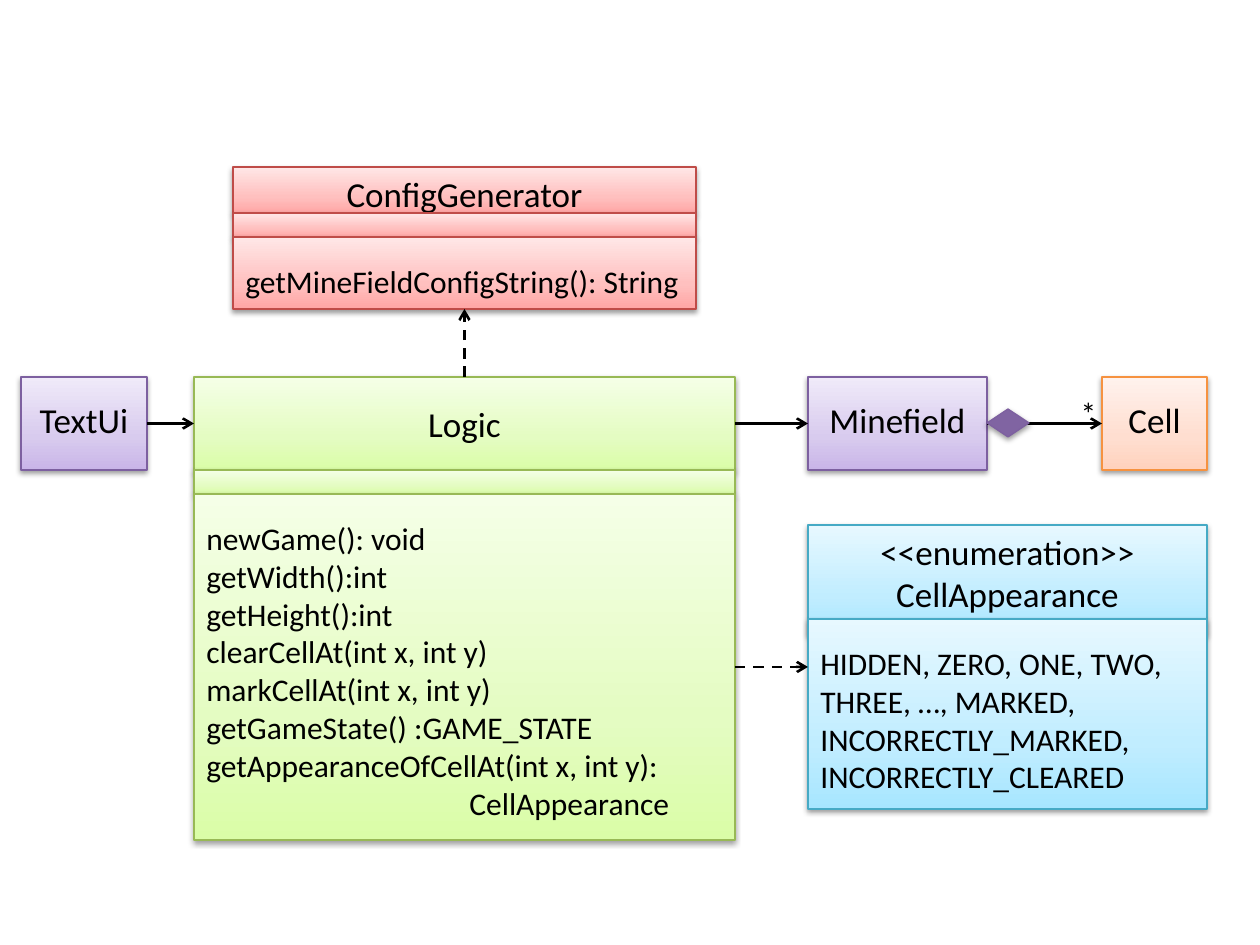
from lxml import etree
from pptx import Presentation
from pptx.dml.color import RGBColor
from pptx.enum.dml import MSO_LINE
from pptx.enum.shapes import MSO_CONNECTOR, MSO_SHAPE
from pptx.enum.text import MSO_ANCHOR, PP_ALIGN
from pptx.oxml import parse_xml
from pptx.util import Pt

NS = "http://schemas.openxmlformats.org/drawingml/2006/main"
RECT, DIAMOND = MSO_SHAPE.RECTANGLE, MSO_SHAPE.FLOWCHART_DECISION
STRAIGHT, DASH = MSO_CONNECTOR.STRAIGHT, MSO_LINE.DASH
LEFT, CENTER, TOP_ANCHOR = PP_ALIGN.LEFT, PP_ALIGN.CENTER, MSO_ANCHOR.TOP
TOP_SIDE, LEFT_SIDE, BOTTOM_SIDE, RIGHT_SIDE = range(4)

# Each palette: outline, then gradient from bottom to top
PURPLE = ("7D60A0", "C9B5E8", "D8CBEE", "F0EAF9")
GREEN = ("98B955", "DAFDA7", "E4FCC2", "F5FFE7")
ORANGE = ("F69240", "FFD2BD", "FFDED0", "FFF2ED")
BLUE = ("46AAC5", "A7E6FF", "C1EDFF", "E7F8FF")
RED = ("BF4C48", "FFA6A5", "FFC0BF", "FFE7E7")


def px(length):
    return round(length * 914400 / 126)


def color(value):
    return RGBColor.from_string(value)


class Diagram:
    font = "Calibri"
    ink = "000000"
    name_size, member_size = 20, 18

    def __init__(self, page):
        self.page = page

    def set_text(self, box, lines, size, align=LEFT, pad=25, pad_bottom=None):
        frame = box.text_frame
        frame.word_wrap = True
        frame.vertical_anchor = TOP_ANCHOR
        frame.margin_left = frame.margin_right = px(12.6)
        frame.margin_top = px(pad)
        frame.margin_bottom = px(pad if pad_bottom is None else pad_bottom)
        for index, line in enumerate(lines):
            para = frame.paragraphs[0] if index == 0 else frame.add_paragraph()
            para.text = line
            para.alignment = align
            para.font.name = self.font
            para.font.size = Pt(size)
            para.font.color.rgb = color(self.ink)

    def shadow(self, shape):
        shape._element.spPr.append(parse_xml(
            f'<a:effectLst xmlns:a="{NS}"><a:outerShdw blurRad="{Pt(3.1)}" dist="{Pt(1.6)}" '
            'dir="5400000" rotWithShape="0"><a:srgbClr val="000000"><a:alpha val="38000"/>'
            '</a:srgbClr></a:outerShdw></a:effectLst>'))

    def outline(self, shape, value):
        shape.line.color.rgb = color(value)
        shape.line.width = Pt(0.75)

    def compartment(self, left, top, width, height, palette):
        box = self.page.shapes.add_shape(RECT, px(left), px(top), px(width), px(height))
        self.outline(box, palette[0])
        stops = "".join(f'<a:gs pos="{place}"><a:srgbClr val="{value}"/></a:gs>'
                        for place, value in zip((0, 35000, 100000), palette[1:]))
        box.line._get_or_add_ln().addprevious(parse_xml(
            f'<a:gradFill xmlns:a="{NS}" rotWithShape="1"><a:gsLst>{stops}</a:gsLst>'
            '<a:lin ang="16200000" scaled="0"/></a:gradFill>'))
        self.shadow(box)
        return box

    def name_box(self, left, top, width, height, palette, lines, pad, pad_bottom=None):
        box = self.compartment(left, top, width, height, palette)
        self.set_text(box, lines, self.name_size, CENTER, pad, pad_bottom)
        return box

    def member_box(self, left, top, width, height, palette, lines):
        box = self.compartment(left, top, width, height, palette)
        self.set_text(box, lines, self.member_size)
        return box

    def diamond(self, left, top, width, height, fill, line):
        shape = self.page.shapes.add_shape(DIAMOND, px(left), px(top), px(width), px(height))
        shape.fill.solid()
        shape.fill.fore_color.rgb = color(fill)
        self.outline(shape, line)
        self.shadow(shape)

    def label(self, left, top, width, height, text):
        box = self.page.shapes.add_textbox(px(left), px(top), px(width), px(height))
        self.set_text(box, [text], self.member_size, pad=6)
        box.text_frame.word_wrap = False

    def arrow(self, start, start_side, end=None, end_side=None, point=(0, 0), dashed=False):
        x, y = map(px, point)
        line = self.page.shapes.add_connector(STRAIGHT, x, y, x, y)
        line.begin_connect(start, start_side)
        if end is not None:
            line.end_connect(end, end_side)
        line.line.color.rgb = color(self.ink)
        line.line.width = Pt(1.5)
        if dashed:
            line.line.dash_style = DASH
        etree.SubElement(line.line._get_or_add_ln(), f"{{{NS}}}tailEnd", type="arrow")
        etree.SubElement(line._element.spPr, f"{{{NS}}}effectLst")


def main():
    deck = Presentation()
    deck.slide_width, deck.slide_height = px(1260), px(945)
    diagram = Diagram(deck.slides.add_slide(deck.slide_layouts[6]))

    # Row of classes
    row_top, row_height = 377, 93
    text_ui = diagram.name_box(21, row_top, 126, row_height, PURPLE, ["TextUi"], 21, 29)
    logic = diagram.name_box(194, row_top, 541, row_height, GREEN, ["Logic"], 25)
    minefield = diagram.name_box(808, row_top, 179, row_height, PURPLE, ["Minefield"], 21, 29)
    cell = diagram.name_box(1102, row_top, 105, row_height, ORANGE, ["Cell"], 21, 29)
    for start, end in ((text_ui, logic), (logic, minefield), (minefield, cell)):
        diagram.arrow(start, RIGHT_SIDE, end, LEFT_SIDE)

    # Composition of cells
    diagram.label(1071, 388, 22, 49, "*")
    diagram.diamond(987, 409, 42, 28, "8064A2", "7D60A0")

    # Logic members
    diagram.compartment(194, 470, 541, 24, GREEN)
    methods = diagram.member_box(194, 494, 541, 346, GREEN, [
        "newGame(): void",
        "getWidth():int",
        "getHeight():int",
        "clearCellAt(int x, int y)",
        "markCellAt(int x, int y)",
        "getGameState() :GAME_STATE",
        "getAppearanceOfCellAt(int x, int y):",
        "CellAppearance",
    ])
    return_type = methods.text_frame.paragraphs[-1]
    return_type._p.get_or_add_pPr().set("marL", str(px(263)))

    # CellAppearance enumeration
    diagram.name_box(808, 525, 399, 110, BLUE, ["<<enumeration>>", "CellAppearance"], 5)
    diagram.member_box(808, 619, 399, 190, BLUE, [
        "HIDDEN, ZERO, ONE, TWO, THREE, …, MARKED, INCORRECTLY_MARKED, INCORRECTLY_CLEARED"])

    # ConfigGenerator
    diagram.name_box(233, 167, 463, 46, RED, ["ConfigGenerator"], 5)
    diagram.compartment(233, 213, 463, 24, RED)
    config = diagram.member_box(233, 237, 463, 72, RED, ["getMineFieldConfigString(): String"])

    # Dependencies
    diagram.arrow(logic, TOP_SIDE, config, BOTTOM_SIDE, dashed=True)
    diagram.arrow(methods, RIGHT_SIDE, point=(808, 667), dashed=True)

    deck.save("out.pptx")


if __name__ == "__main__":
    main()
